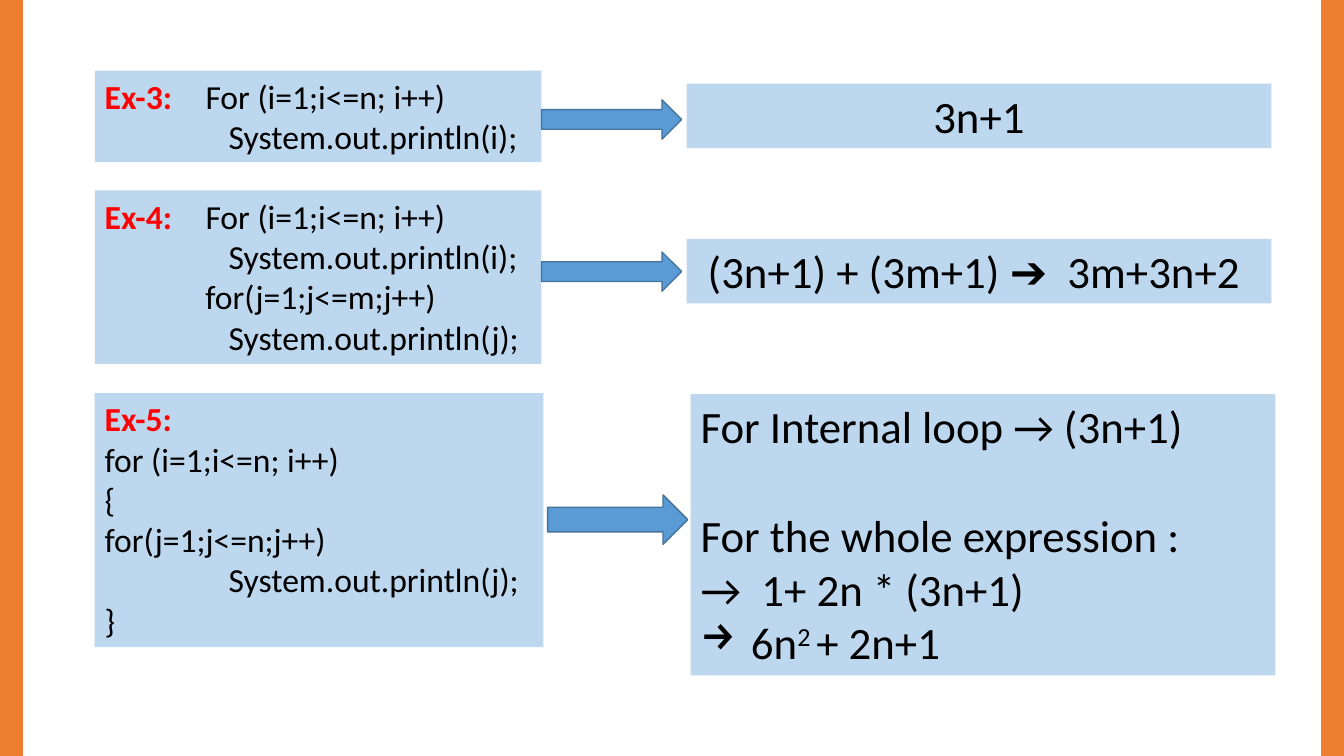
from dataclasses import dataclass

from lxml.etree import SubElement
from pptx import Presentation
from pptx.dml.color import RGBColor
from pptx.enum.shapes import MSO_SHAPE
from pptx.enum.text import MSO_AUTO_SIZE, PP_ALIGN
from pptx.oxml.ns import qn
from pptx.slide import Slide
from pptx.text.text import TextFrame
from pptx.util import Emu, Inches, Pt

WIDE, HIGH = Inches(13.33), Inches(7.5)
FONT = "Calibri"
HUES = {
    "edge": "ED7D31",
    "panel": "BDD7EE",
    "arrow": "5B9BD5",
    "rim": "43739E",
    "tag": "FF0000",
    "ink": "000000",
}
BAR = 1.65
STEP, DEEP, HANG = 7.5, 9.23, 3.75


@dataclass
class Area:
    left: float
    top: float
    width: float
    height: float

    def place(self) -> tuple[Emu, Emu, Emu, Emu]:
        return (across(self.left), down(self.top),
                across(self.width), down(self.height))


@dataclass
class Line:
    text: str
    tag: str = ""
    indent: float = 0
    bullet: str = ""
    before: float = 0
    align: PP_ALIGN = PP_ALIGN.LEFT


@dataclass
class Panel:
    area: Area
    size: int
    lines: list[Line]


@dataclass
class Example:
    code: Panel
    arrow: Area
    answer: Panel


def across(share: float) -> Emu:
    return Emu(round(WIDE * share / 100))


def down(share: float) -> Emu:
    return Emu(round(HIGH * share / 100))


def hue(name: str) -> RGBColor:
    return RGBColor.from_string(HUES[name])


def draw_shape(slide: Slide, kind: MSO_SHAPE, area: Area, fill: str, line: str) -> None:
    shape = slide.shapes.add_shape(kind, *area.place())
    shape.shadow.inherit = False
    shape.fill.solid()
    shape.fill.fore_color.rgb = hue(fill)
    shape.line.color.rgb = hue(line)
    shape.line.width = Pt(1)


def write_line(frame: TextFrame, index: int, line: Line, size: int) -> None:
    para = frame.add_paragraph() if index else frame.paragraphs[0]
    para.alignment = line.align
    para.space_before = Pt(line.before)
    para.font.name = FONT
    para.font.size = Pt(size)
    para.font.color.rgb = hue("ink")
    props = para._p.get_or_add_pPr()
    props.set("marL", str(across(line.indent)))
    if line.bullet:
        props.set("indent", str(-across(line.indent)))
        mark = SubElement(props, qn("a:buChar"))
        mark.set("char", line.bullet)
        props.find(qn("a:defRPr")).addprevious(mark)
    if line.tag:
        run = para.add_run()
        run.text = line.tag
        run.font.bold = True
        run.font.color.rgb = hue("tag")
    for part, text in enumerate(line.text.split("^")):
        if text:
            run = para.add_run()
            run.text = text
            if part % 2:
                run._r.get_or_add_rPr().set("baseline", "30000")


def draw_panel(slide: Slide, panel: Panel) -> None:
    box = slide.shapes.add_textbox(*panel.area.place())
    box.fill.solid()
    box.fill.fore_color.rgb = hue("panel")
    frame = box.text_frame
    frame.word_wrap = True
    frame.auto_size = MSO_AUTO_SIZE.SHAPE_TO_FIT_TEXT
    for index, line in enumerate(panel.lines):
        write_line(frame, index, line, panel.size)


EXAMPLES = [
    Example(
        Panel(Area(7.05, 9.33, 33.23, 12.13), 24, [
            Line("\tFor (i=1;i<=n; i++)", tag="Ex-3:"),
            Line("System.out.println(i);", indent=DEEP),
        ]),
        Area(40.29, 13.2, 10.43, 5.2),
        Panel(Area(51.09, 11.07, 43.51, 8.53), 32, [
            Line("3n+1", align=PP_ALIGN.CENTER),
        ]),
    ),
    Example(
        Panel(Area(7.05, 25.2, 33.23, 22.93), 24, [
            Line("\tFor (i=1;i<=n; i++)", tag="Ex-4:"),
            Line("System.out.println(i);", indent=DEEP),
            Line("for(j=1;j<=m;j++)", indent=STEP),
            Line("System.out.println(j);", indent=DEEP),
        ]),
        Area(40.29, 33.33, 10.43, 5.2),
        Panel(Area(51.09, 31.6, 43.51, 8.53), 32, [
            Line("(3n+1) + (3m+1) ➔  3m+3n+2 ", align=PP_ALIGN.CENTER),
        ]),
    ),
    Example(
        Panel(Area(7.05, 52, 33.38, 33.6), 24, [
            Line("", tag="Ex-5:"),
            Line("for (i=1;i<=n; i++)"),
            Line("{"),
            Line("for(j=1;j<=n;j++)"),
            Line("System.out.println(j);", indent=DEEP),
            Line("}"),
        ]),
        Area(40.74, 65.47, 10.43, 6.53),
        Panel(Area(51.39, 52.13, 43.51, 37.2), 32, [
            Line("For Internal loop → (3n+1)"),
            Line("For the whole expression :", before=39),
            Line("→  1+ 2n * (3n+1)"),
            Line("6n^2 ^+ 2n+1", indent=HANG, bullet="→"),
        ]),
    ),
]


def main() -> None:
    deck = Presentation()
    deck.slide_width, deck.slide_height = WIDE, HIGH
    slide = deck.slides.add_slide(deck.slide_layouts[6])
    for left in (100 - BAR, 0):
        draw_shape(slide, MSO_SHAPE.RECTANGLE, Area(left, 0, BAR, 100), "edge", "edge")
    for item in EXAMPLES:
        draw_panel(slide, item.code)
        draw_panel(slide, item.answer)
        draw_shape(slide, MSO_SHAPE.RIGHT_ARROW, item.arrow, "arrow", "rim")
    deck.save("out.pptx")


if __name__ == "__main__":
    main()
